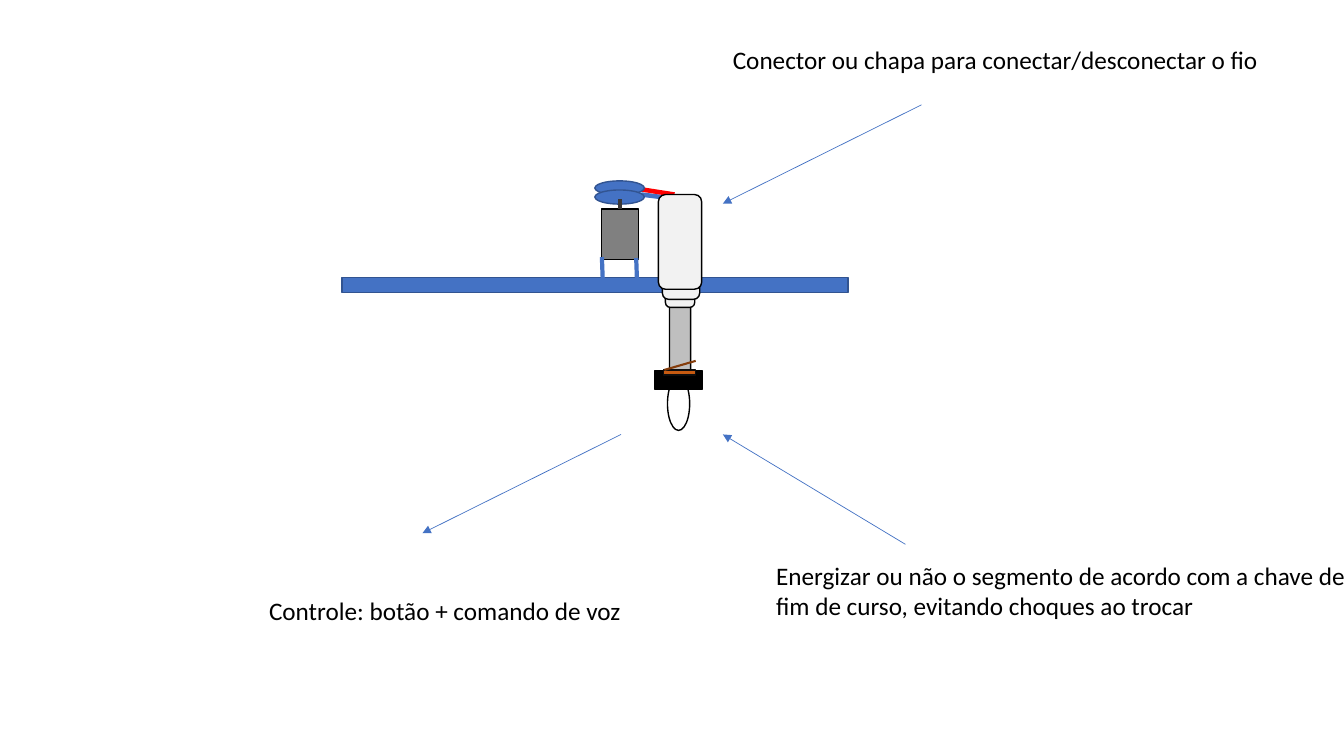
from lxml.etree import SubElement
from pptx import Presentation
from pptx.dml.color import RGBColor
from pptx.enum.shapes import MSO_CONNECTOR, MSO_SHAPE
from pptx.enum.text import MSO_AUTO_SIZE
from pptx.oxml.ns import qn
from pptx.util import Inches, Pt

# The slide is a grid of 1333 columns by 750 rows.
CELL = Inches(0.01)
BLUE, DARK_BLUE, BLACK, LIGHT_GREY = "4472C4", "325491", "000000", "F2F2F2"
color = RGBColor.from_string

deck = Presentation()
deck.slide_width, deck.slide_height = Inches(13.33), Inches(7.5)
slide = deck.slides.add_slide(deck.slide_layouts[6])


def add_part(preset, cells, fill, outline=BLACK):
    """Draw a filled preset; cells are left, top, width and height."""
    part = slide.shapes.add_shape(preset, *(CELL * cell for cell in cells))
    part.shadow.inherit = False
    part.fill.solid()
    part.fill.fore_color.rgb = color(fill)
    part.line.color.rgb = color(outline)
    part.line.width = Pt(1)
    return part


def add_line(cells, stroke, width, arrow=False):
    """Draw a line; cells are the start and end column and row."""
    line = slide.shapes.add_connector(
        MSO_CONNECTOR.STRAIGHT, *(CELL * cell for cell in cells))
    line.line.color.rgb = color(stroke)
    line.line.width = Pt(width)
    properties = line._element.spPr
    if arrow:
        SubElement(properties.find(qn("a:ln")), qn("a:tailEnd"), type="triangle")
    SubElement(properties, qn("a:effectLst"))
    return line


# Wires from the pulley to the lamp holder
add_line((636, 193, 668, 197), BLUE, 3.25)
add_line((637, 188, 669, 193), "FF0000", 3.25)

# Ceiling
add_part(MSO_SHAPE.RECTANGLE, (339, 275, 502, 15), BLUE, DARK_BLUE)

# Telescopic tube, from the innermost segment to the outermost
for cells, fill in [
    ((664, 220, 21, 151), "BFBFBF"),
    ((660, 211, 29, 94), LIGHT_GREY),
    ((657, 203, 37, 94), LIGHT_GREY),
    ((653, 193, 43, 94), LIGHT_GREY),
]:
    add_part(MSO_SHAPE.ROUNDED_RECTANGLE, cells, fill)

# Bulb, socket and contact switch
add_part(MSO_SHAPE.OVAL, (662, 374, 22, 53), "FFFFFF")
add_part(MSO_SHAPE.RECTANGLE, (649, 368, 48, 18), BLACK)
add_part(MSO_SHAPE.RECTANGLE, (658, 367, 32, 5), "C55A11", "0D0D0D")
add_line((690, 358, 659, 367), "843C0B", 1.5)

# Motor with its pulley, shaft and legs
add_part(MSO_SHAPE.OVAL, (590, 179.5, 49, 14), BLUE, DARK_BLUE)
motor = add_part(MSO_SHAPE.RECTANGLE, (596.5, 207.5, 37, 50), "808080")
add_part(MSO_SHAPE.OVAL, (590, 188.5, 49, 14), BLUE, DARK_BLUE)
shaft = add_line((615, 208, 615, 197), "3B3838", 3)
shaft.begin_connect(motor, 0)
for column, row in [(597, 255), (631, 256)]:
    add_line((column + 1, row + 28, column, row), BLUE, 3)

# Notes and their arrows
for arrow_cells, box_cells, note in [
    ((914, 104, 717, 202), (717, 39, 584, 40),
     "Conector ou chapa para conectar/desconectar o fio"),
    ((898, 540, 717, 431), (760, 551, 584, 71),
     "Energizar ou não o segmento de acordo com a chave de fim de curso, "
     "evitando choques ao trocar"),
    ((616, 431, 419, 529), (257, 586, 393, 40),
     "Controle: botão + comando de voz"),
]:
    add_line(arrow_cells, BLUE, 0.5, arrow=True)
    box = slide.shapes.add_textbox(*(CELL * cell for cell in box_cells))
    frame = box.text_frame
    frame.word_wrap = True
    frame.auto_size = MSO_AUTO_SIZE.SHAPE_TO_FIT_TEXT
    para = frame.paragraphs[0]
    para.text = note
    para.font.name, para.font.size = "Calibri", Pt(18)
    para.font.color.rgb = color(BLACK)

deck.save("out.pptx")
